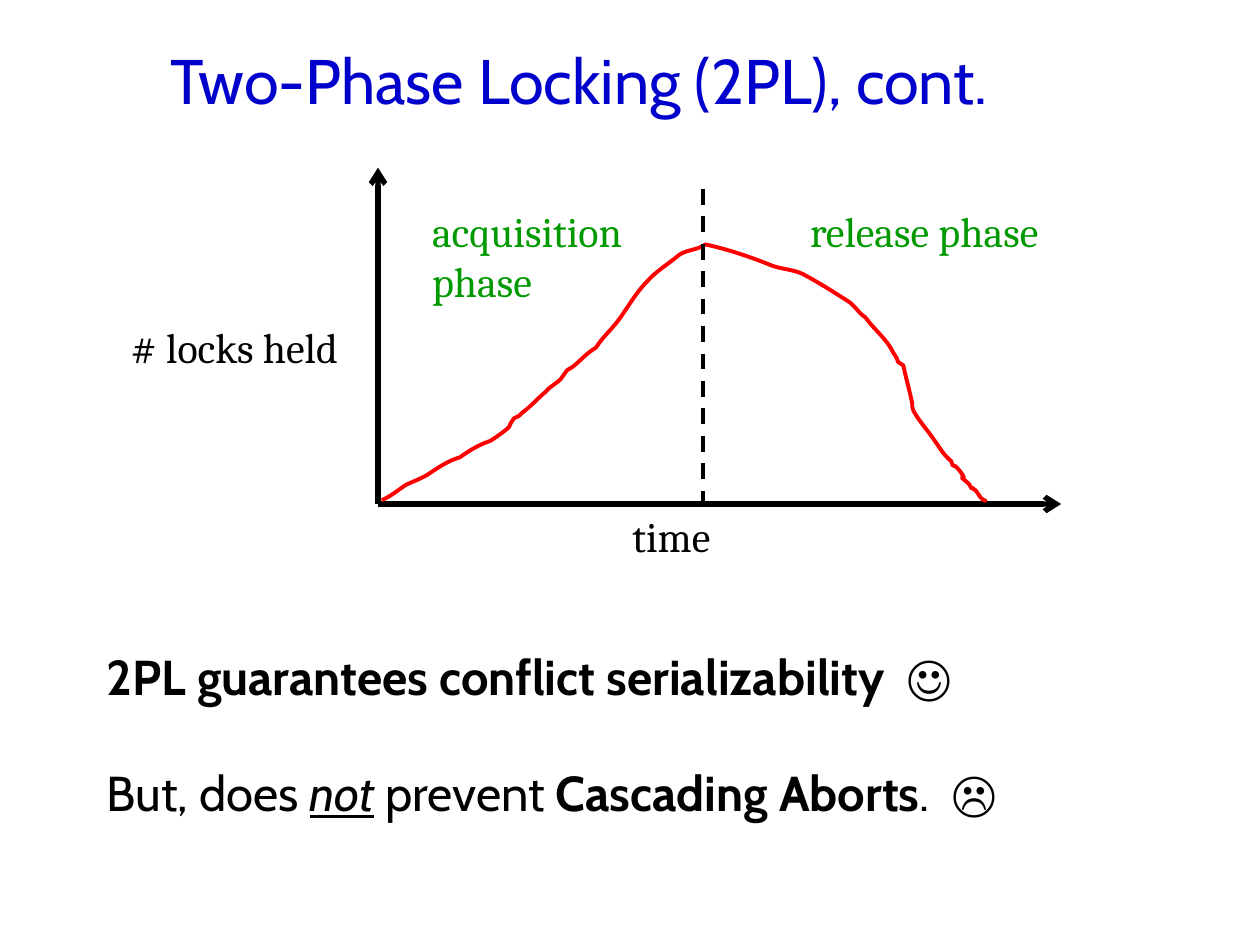
from lxml import etree
from pptx import Presentation
from pptx.dml.color import RGBColor
from pptx.enum.dml import MSO_LINE
from pptx.enum.shapes import MSO_CONNECTOR
from pptx.enum.text import MSO_ANCHOR
from pptx.oxml.ns import qn
from pptx.util import Cm, Pt

STRAIGHT = MSO_CONNECTOR.STRAIGHT
DASH = MSO_LINE.DASH
TOP, MIDDLE = MSO_ANCHOR.TOP, MSO_ANCHOR.MIDDLE

COLORS = {"title": "0000CC", "ink": "000000", "phase": "009900", "curve": "FF0000"}
STYLES = {
    "title": {"name": "Cabin", "size": Pt(36), "color": "title"},
    "body": {"name": "Cabin", "size": Pt(28), "color": "ink"},
    "label": {"name": "Cambria", "size": Pt(24), "color": "ink"},
    "phase": {"name": "Cambria", "size": Pt(24), "color": "phase"},
}
BOLD = {"bold": True}
EMPHASIS = {"italic": True, "underline": True}

# Text boxes: style, (left, top, width, height) in cm, wrap, runs
TEXTS = [
    ("title", (3.18, 0, 21.59, 3.18), True, [("Two-Phase Locking (2PL), cont.", {})]),
    ("body", (1.9, 12.9, 22.23, 2.2), True,
     [("2PL guarantees conflict serializability  ☺", BOLD)]),
    ("body", (1.9, 15.24, 22.23, 2.2), True,
     [("But, does ", {}), ("not", EMPHASIS), (" prevent ", {}),
      ("Cascading Aborts", BOLD), (".  ☹", {})]),
    ("label", (12.5, 10.16, 2.18, 1.27), False, [("time", {})]),
    ("label", (2.39, 6.35, 5.03, 1.27), False, [("# locks held", {})]),
    ("phase", (16.08, 4.01, 5.49, 1.27), False, [("release phase", {})]),
    ("phase", (8.46, 4.01, 5.51, 2.29), True, [("acquisition phase", {})]),
]

# Lines: start, end in cm, width in points
ORIGIN = (7.62, 10.16)
AXES = [(ORIGIN, (21.39, 10.16), 3), (ORIGIN, (7.62, 3.38), 3)]
PEAK_LINE = ((14.17, 3.81), (14.17, 10.16), 2.25)

# Lock curve: start, then two control points and an end point per segment
CURVE_UNIT = Cm(0.0254)
CURVE_START = (303, 397)
CURVE = [
    (310, 394, 316, 389, 322, 385), (328, 382, 334, 380, 339, 377),
    (348, 371, 355, 366, 365, 363), (372, 358, 380, 353, 389, 350),
    (391, 349, 401, 342, 404, 339), (405, 337, 406, 334, 408, 332),
    (410, 331, 413, 330, 414, 328), (421, 323, 427, 316, 433, 311),
    (436, 307, 441, 305, 445, 301), (447, 299, 448, 296, 450, 294),
    (451, 293, 454, 292, 456, 290), (462, 285, 466, 280, 473, 276),
    (478, 268, 485, 262, 491, 254), (499, 243, 505, 232, 514, 223),
    (520, 216, 531, 209, 537, 204), (543, 198, 553, 199, 560, 194),
    (578, 198, 596, 204, 613, 211), (622, 214, 632, 214, 640, 219),
    (651, 225, 662, 232, 673, 239), (678, 242, 682, 249, 687, 252),
    (694, 262, 704, 269, 709, 280), (716, 290, 709, 285, 717, 290),
    (719, 300, 722, 310, 724, 320), (724, 322, 724, 324, 725, 326),
    (730, 335, 736, 341, 742, 350), (747, 357, 749, 361, 755, 366),
    (758, 375, 754, 364, 762, 374), (771, 386, 756, 373, 769, 384),
    (775, 394, 767, 382, 775, 390), (778, 394, 778, 396, 783, 398),
]


def rgb(name):
    return RGBColor.from_string(COLORS[name])


def add_text(slide, style, box, wrap, runs):
    frame = slide.shapes.add_textbox(*map(Cm, box)).text_frame
    frame.word_wrap = wrap
    frame.vertical_anchor = MIDDLE if style == "title" else TOP
    paragraph = frame.paragraphs[0]
    if style == "body":
        properties = paragraph._p.get_or_add_pPr()
        properties.set("marL", str(Cm(0.95)))
        properties.set("indent", str(-Cm(0.95)))
    for text, extra in runs:
        run = paragraph.add_run()
        run.text = text
        for key, value in {**STYLES[style], **extra}.items():
            if key == "color":
                run.font.color.rgb = rgb(value)
            else:
                setattr(run.font, key, value)


def add_line(slide, start, end, width):
    connector = slide.shapes.add_connector(STRAIGHT, *map(Cm, start + end))
    connector.line.color.rgb = rgb("ink")
    connector.line.width = Pt(width)
    etree.SubElement(connector._element.spPr, qn("a:effectLst"))
    return connector


def add_curve(slide):
    builder = slide.shapes.build_freeform(*CURVE_START, scale=CURVE_UNIT)
    points = [segment[i:i + 2] for segment in CURVE for i in (0, 2, 4)]
    builder.add_line_segments(points, close=False)
    shape = builder.convert_to_shape()
    shape.shadow.inherit = False
    shape.fill.background()
    shape.line.color.rgb = rgb("curve")
    shape.line.width = Pt(2.25)
    # Turn each three straight steps into one cubic segment
    steps = list(shape._element.iter(qn("a:lnTo")))
    for first, second, third in zip(steps[::3], steps[1::3], steps[2::3]):
        first.tag = qn("a:cubicBezTo")
        for step in (second, third):
            first.append(step[0])
            step.getparent().remove(step)


def main():
    presentation = Presentation()
    presentation.slide_width, presentation.slide_height = Cm(25.4), Cm(19.05)
    slide = presentation.slides.add_slide(presentation.slide_layouts[6])

    # Chart drawing
    for axis in AXES:
        line = add_line(slide, *axis).line
        etree.SubElement(line._get_or_add_ln(), qn("a:tailEnd"), type="arrow")
    add_curve(slide)
    add_line(slide, *PEAK_LINE).line.dash_style = DASH

    # Title, labels and statements
    for text in TEXTS:
        add_text(slide, *text)

    presentation.save("out.pptx")


if __name__ == "__main__":
    main()
